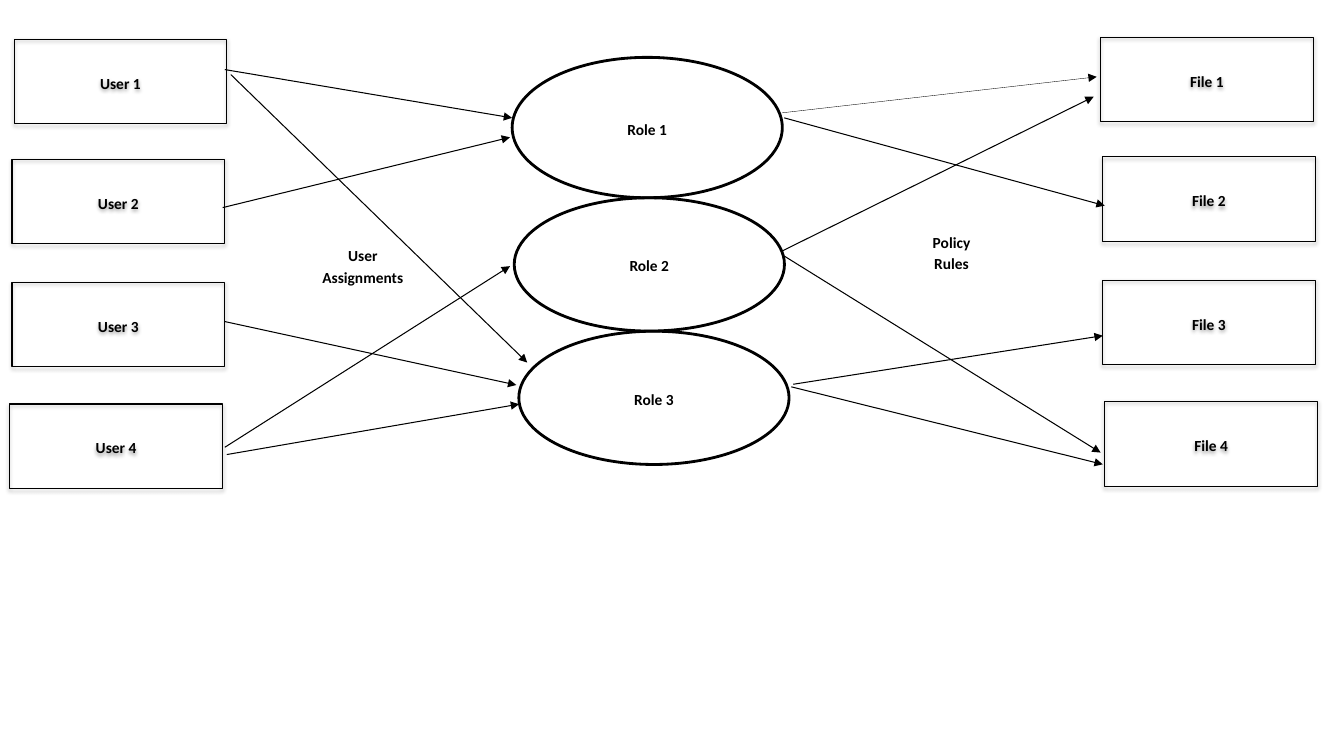
from dataclasses import dataclass

from lxml.etree import SubElement
from pptx import Presentation
from pptx.dml.color import RGBColor
from pptx.enum.shapes import MSO_CONNECTOR, MSO_SHAPE
from pptx.enum.text import MSO_ANCHOR, PP_ALIGN
from pptx.oxml.ns import qn
from pptx.util import Pt

COLORS = {"ink": "000000"}
INK = RGBColor.from_string(COLORS["ink"])
FONT = {"name": "Calibri", "size": Pt(11), "bold": True}
PARAGRAPH = {"alignment": PP_ALIGN.CENTER, "line_spacing": 1.15}
BOX_SIZE = (152, 60.5)
ROLE_WIDTH = 193


@dataclass
class Node:
    text: str
    left: float
    top: float
    width: float
    height: float
    preset: MSO_SHAPE = MSO_SHAPE.RECTANGLE
    line: float = 0.75
    shadow: bool = True


@dataclass
class Label:
    lines: tuple
    left: float
    top: float
    width: float
    height: float = 46


@dataclass
class Arrow:
    x1: float
    y1: float
    x2: float
    y2: float
    line: float = 0.75


def boxes(name: str, corners: list) -> list:
    return [Node(f"{name} {i}", x, y, *BOX_SIZE) for i, (x, y) in enumerate(corners, 1)]


def roles(places: list) -> list:
    return [
        Node(f"Role {i}", x, y, ROLE_WIDTH, h, MSO_SHAPE.OVAL, 2, False)
        for i, (x, y, h) in enumerate(places, 1)
    ]


NODES = (
    boxes("User", [(10.1, 28.1), (8.6, 113.8), (8.6, 201.6), (7, 288.6)])
    + boxes("File", [(786.2, 26.6), (787.6, 112.1), (787.6, 200.2), (789.2, 286.8)])
    + roles([(365.8, 41, 100.3), (367.3, 141.3, 95.2), (370.6, 236.6, 95.2)])
)

LABELS = [
    Label(("User", "Assignments"), 165.6, 170.6, 187.2),
    Label(("Policy", "Rules"), 597.6, 161.1, 164.2),
]

ARROWS = [
    Arrow(558.7, 80.6, 783.4, 54.9, 0.25),
    Arrow(560.2, 84.2, 789.1, 146.9),
    Arrow(558.7, 179.3, 781.2, 69.1),
    Arrow(560.2, 182.9, 786.2, 323.3),
    Arrow(566.6, 274.5, 787.7, 239.8),
    Arrow(565.2, 276.3, 787.7, 331.7),
    Arrow(160.6, 49.7, 365.8, 84.2),
    Arrow(164.9, 53.3, 376.6, 259),
    Arrow(159.1, 148.3, 364.3, 98.1),
    Arrow(160.6, 229.7, 368.8, 275),
    Arrow(160.6, 319.5, 364.3, 190.1),
    Arrow(162, 324.7, 370.8, 288.7),
]


def set_attrs(obj, values: dict) -> None:
    for name, value in values.items():
        setattr(obj, name, value)


def write(tf, lines: tuple, space_after: float) -> None:
    tf.word_wrap = True
    for i, text in enumerate(lines):
        p = tf.add_paragraph() if i else tf.paragraphs[0]
        set_attrs(p, PARAGRAPH | {"space_after": Pt(space_after)})
        r = p.add_run()
        r.text = text
        set_attrs(r.font, FONT)
        r.font.color.rgb = INK


def set_line(sp, width: float) -> None:
    sp.line.color.rgb = INK
    sp.line.width = Pt(width)


def add_shadow(sp) -> None:
    effects = sp._element.spPr.find(qn("a:effectLst"))
    shadow = SubElement(
        effects, qn("a:outerShdw"), blurRad=str(Pt(3.1)), dist=str(Pt(1.6)),
        dir="5400000", rotWithShape="0",
    )
    color = SubElement(shadow, qn("a:srgbClr"), val=COLORS["ink"])
    SubElement(color, qn("a:alpha"), val="38000")


def draw_node(s, node: Node) -> None:
    place = map(Pt, (node.left, node.top, node.width, node.height))
    sp = s.shapes.add_shape(node.preset, *place)
    sp.shadow.inherit = False
    sp.fill.background()
    set_line(sp, node.line)
    if node.shadow:
        add_shadow(sp)
    sp.text_frame.vertical_anchor = MSO_ANCHOR.MIDDLE
    write(sp.text_frame, (node.text,), 10)


def draw_label(s, label: Label) -> None:
    place = map(Pt, (label.left, label.top, label.width, label.height))
    write(s.shapes.add_textbox(*place).text_frame, label.lines, 0)


def draw_arrow(s, arrow: Arrow) -> None:
    ends = map(Pt, (arrow.x1, arrow.y1, arrow.x2, arrow.y2))
    sp = s.shapes.add_connector(MSO_CONNECTOR.STRAIGHT, *ends)
    set_line(sp, arrow.line)
    SubElement(sp.line._get_or_add_ln(), qn("a:tailEnd"), type="triangle")
    SubElement(sp._element.spPr, qn("a:effectLst"))


prs = Presentation()
set_attrs(prs, {"slide_width": Pt(960), "slide_height": Pt(540)})
s = prs.slides.add_slide(prs.slide_layouts[6])
for draw, items in ((draw_node, NODES), (draw_label, LABELS), (draw_arrow, ARROWS)):
    for item in items:
        draw(s, item)
prs.save("out.pptx")
